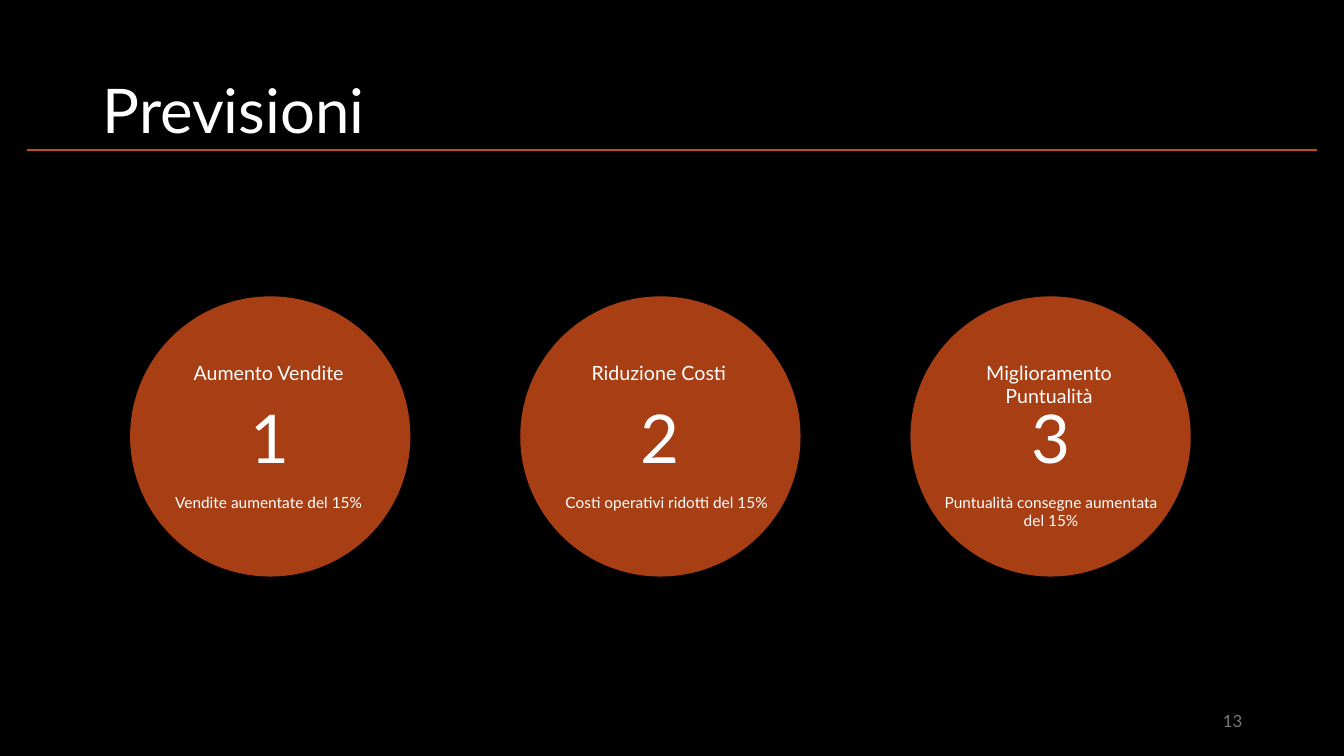
from lxml import etree
from pptx import Presentation
from pptx.dml.color import RGBColor
from pptx.enum.shapes import MSO_CONNECTOR, MSO_SHAPE
from pptx.enum.text import MSO_ANCHOR, PP_ALIGN
from pptx.oxml.ns import qn
from pptx.util import Inches, Pt

LEFT, CENTER, RIGHT = PP_ALIGN.LEFT, PP_ALIGN.CENTER, PP_ALIGN.RIGHT
TOP, MIDDLE = MSO_ANCHOR.TOP, MSO_ANCHOR.MIDDLE
OVAL, STRAIGHT = MSO_SHAPE.OVAL, MSO_CONNECTOR.STRAIGHT

BLACK = RGBColor(0x00, 0x00, 0x00)
WHITE = RGBColor(0xFF, 0xFF, 0xFF)
GREY = RGBColor(0x79, 0x79, 0x79)
ORANGE = RGBColor(0xCD, 0x4C, 0x19)
RULE_ORANGE = RGBColor(0xC0, 0x4F, 0x15)
FONT = "Lato"

# Grid in inches: one column per forecast, rows measured from the top
FIRST_COLUMN, COLUMN_STEP = 1.29, 3.87
CIRCLE_ROW, CIRCLE_SIZE = 2.94, 2.78
HEADING_ROW, CAPTION_ROW = 3.53, 4.84
HEADING_INSET, HEADING_WIDTH = 0.27, 2.21

# Heading, caption, then the caption's inset, width, height and alignment
FORECASTS = [
    ("Aumento Vendite", "Vendite aumentate del 15%", 0.27, 2.21, 0.29, CENTER),
    ("Riduzione Costi", "Costi operativi ridotti del 15%", 0.35, 2.5, 0.29, LEFT),
    ("Miglioramento Puntualità", "Puntualità consegne aumentata del 15%",
     0.16, 2.47, 0.47, CENTER),
]


def write_text(shape, text, size, color=WHITE, align=CENTER, anchor=TOP):
    frame = shape.text_frame
    frame.word_wrap = True
    frame.vertical_anchor = anchor
    paragraph = frame.paragraphs[0]
    paragraph.alignment = align
    run = paragraph.add_run()
    run.text = text
    run.font.name = FONT
    run.font.size = Pt(size)
    run.font.color.rgb = color
    return paragraph


def add_text(slide, box, text, size, **style):
    shape = slide.shapes.add_textbox(*map(Inches, box))
    return write_text(shape, text, size, **style)


def add_circle(slide, left, number):
    box = (left, CIRCLE_ROW, CIRCLE_SIZE, CIRCLE_SIZE)
    shape = slide.shapes.add_shape(OVAL, *map(Inches, box))
    shape.shadow.inherit = False
    shape.fill.solid()
    shape.fill.fore_color.rgb = ORANGE
    color = shape.fill._xPr.find(f".//{qn('a:srgbClr')}")
    etree.SubElement(color, qn("a:alpha"), val="82000")
    shape.line.fill.background()
    write_text(shape, str(number), 48, anchor=MIDDLE)


def add_rule(slide, start, end, row):
    rule = slide.shapes.add_connector(
        STRAIGHT, Inches(start), Inches(row), Inches(end), Inches(row))
    rule.line.color.rgb = RULE_ORANGE
    rule.line.width = Pt(1.5)
    etree.SubElement(rule._element.spPr, qn("a:effectLst"))


def add_forecast(slide, index, forecast):
    heading, caption, inset, width, height, align = forecast
    left = FIRST_COLUMN + index * COLUMN_STEP
    add_circle(slide, left, index + 1)
    add_text(slide, (left + HEADING_INSET, HEADING_ROW, HEADING_WIDTH, 0.34),
             heading, 14)
    add_text(slide, (left + inset, CAPTION_ROW, width, height),
             caption, 11, align=align)


def main():
    presentation = Presentation()
    presentation.slide_width = Inches(13.33)
    presentation.slide_height = Inches(7.5)
    slide = presentation.slides.add_slide(presentation.slide_layouts[6])
    slide.background.fill.solid()
    slide.background.fill.fore_color.rgb = BLACK

    # Title and rule
    title = add_text(slide, (0.92, 0.4, 11.5, 1.45), "Previsioni", 44,
                     align=LEFT, anchor=MIDDLE)
    title.line_spacing = 0.9
    add_rule(slide, 0.27, 13.06, 1.49)

    # Forecast circles
    for index, forecast in enumerate(FORECASTS):
        add_forecast(slide, index, forecast)

    # Page number
    add_text(slide, (9.42, 6.95, 3, 0.4), "13", 12,
             color=GREY, align=RIGHT, anchor=MIDDLE)

    presentation.save("out.pptx")


if __name__ == "__main__":
    main()
